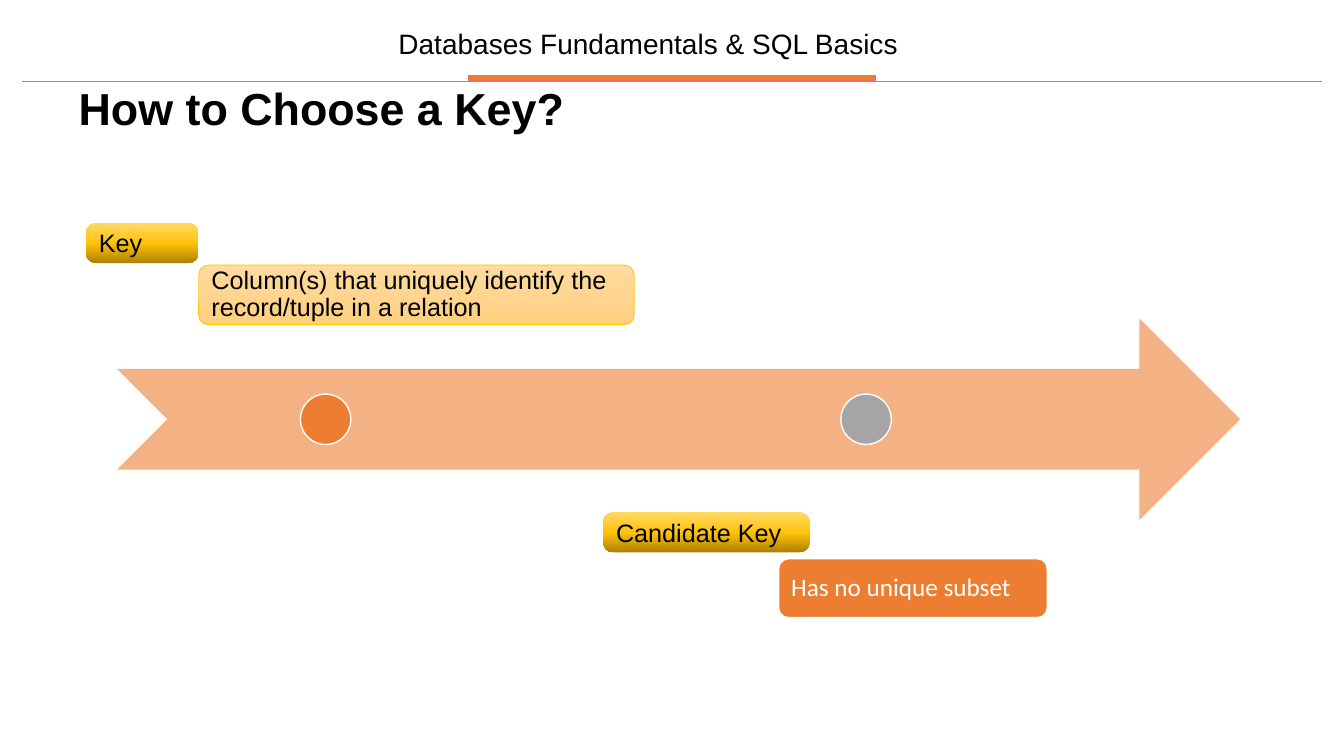
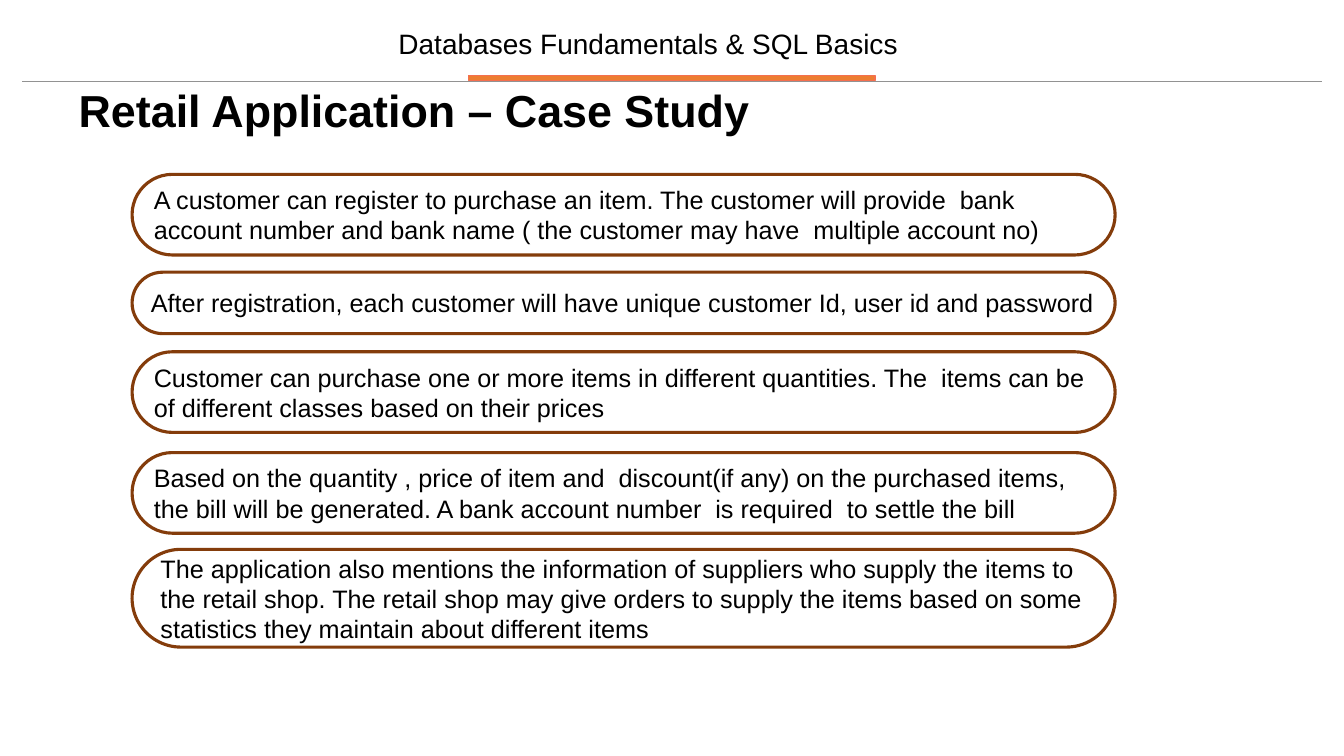
from lxml.etree import SubElement
from pptx import Presentation
from pptx.dml.color import RGBColor
from pptx.enum.shapes import MSO_CONNECTOR, MSO_SHAPE
from pptx.enum.text import MSO_ANCHOR, MSO_AUTO_SIZE, PP_ALIGN
from pptx.oxml.ns import qn
from pptx.util import Emu, Pt

# Colours
BLACK = RGBColor(0x00, 0x00, 0x00)
WHITE = RGBColor(0xFF, 0xFF, 0xFF)
RULE_GRAY = RGBColor(0x92, 0x92, 0x92)
DOT_GRAY = RGBColor(0xA5, 0xA5, 0xA5)
CORAL = RGBColor(0xF4, 0x6F, 0x4F)
ORANGE = RGBColor(0xED, 0x7D, 0x31)
PALE_ORANGE = RGBColor(0xF4, 0xB1, 0x83)
AMBER = RGBColor(0xFF, 0xC0, 0x00)
BROWN = RGBColor(0x84, 0x3C, 0x0B)

# Gradients from top to bottom: (percent, colour)
GOLD_STOPS = (
    (0, RGBColor(0xFF, 0xD9, 0x66)),
    (52, RGBColor(0xFF, 0xC2, 0x08)),
    (100, RGBColor(0xAB, 0x81, 0x00)),
)
PEACH_STOPS = (
    (0, RGBColor(0xFF, 0xDB, 0x9E)),
    (50, RGBColor(0xFF, 0xD5, 0x90)),
    (100, RGBColor(0xFF, 0xD0, 0x7C)),
)

EMU_PER_PX = 9144  # 100 px to the inch


def px(*lengths):
    return [Emu(length * EMU_PER_PX) for length in lengths]


class Lesson:
    """Holds the deck, its style and the current slide."""

    font = "Arial"
    body_size = 18

    def __init__(self):
        self.deck = Presentation()
        self.deck.slide_width, self.deck.slide_height = px(1333, 750)
        self.layout = self.deck.slide_layouts[5]
        self.page = None

    def start_page(self, title, top):
        first = self.page is None
        self.page = self.deck.slides.add_slide(self.layout)
        if first:
            self.header()
        box = self.page.shapes.title
        box.left, box.top, box.width, box.height = px(68, top, 1231, 78)
        self.set_text(box, title, size=32, bold=True, spacing=0.9,
                      anchor=MSO_ANCHOR.TOP)

    def header(self):
        """Draws the band, then moves it to the layout all slides share."""
        text_box = self.page.shapes.add_textbox(*px(375, 26, 536, 38))
        self.set_text(text_box, "Databases Fundamentals & SQL Basics", size=20,
                      align=PP_ALIGN.CENTER, spacing=0.9)
        band = (
            self.rule(22, 1311, 81),
            self.shape(MSO_SHAPE.RECTANGLE, (465, 75, 403, 5), ORANGE,
                       CORAL, 1),
            text_box,
        )
        for part in band:
            self.layout.shapes.element.append(part.element)

    def rule(self, left, right, top):
        line = self.page.shapes.add_connector(
            MSO_CONNECTOR.STRAIGHT, *px(left, top, right, top))
        line.line.color.rgb = RULE_GRAY
        line.line.width = Pt(0.75)
        SubElement(line.element.spPr, qn("a:effectLst"))
        return line

    def shape(self, kind, place, fill=None, line=None, width=1, corner=None):
        """Adds a shape; fill is a colour, a tuple of stops or None."""
        shape = self.page.shapes.add_shape(kind, *px(*place))
        shape.shadow.inherit = False
        if corner is not None:
            shape.adjustments[0] = corner
        if fill is None:
            shape.fill.background()
        elif isinstance(fill, RGBColor):
            shape.fill.solid()
            shape.fill.fore_color.rgb = fill
        else:
            self.gradient(shape, fill)
        if line is None:
            shape.line.fill.background()
        else:
            shape.line.color.rgb = line
            shape.line.width = Pt(width)
        return shape

    def gradient(self, shape, stops):
        shape.fill.gradient()
        shape.fill.gradient_angle = 270
        stop_list = shape.element.spPr.find(qn("a:gradFill")).find(qn("a:gsLst"))
        for old_stop in list(stop_list):
            stop_list.remove(old_stop)
        for percent, color in stops:
            stop = SubElement(stop_list, qn("a:gs"), pos=str(percent * 1000))
            SubElement(stop, qn("a:srgbClr"), val=str(color))

    def set_text(self, box, text, size=body_size, font=font, color=BLACK,
                 bold=False, align=PP_ALIGN.LEFT, spacing=1.0,
                 anchor=MSO_ANCHOR.MIDDLE, margins=(10, 10)):
        frame = box.text_frame
        frame.word_wrap = True
        frame.auto_size = MSO_AUTO_SIZE.NONE
        frame.vertical_anchor = anchor
        frame.margin_left, frame.margin_right = px(*margins)
        frame.margin_top, frame.margin_bottom = px(5, 5)
        para = frame.paragraphs[0]
        para.text = text
        para.alignment = align
        para.line_spacing = spacing
        para.font.name = font
        para.font.size = Pt(size)
        para.font.bold = bold
        para.font.color.rgb = color

    def dot(self, left, top, color):
        self.shape(MSO_SHAPE.OVAL, (left, top, 50, 50), color, WHITE, 1)

    def label(self, left, top, width, text):
        tag = self.shape(MSO_SHAPE.ROUNDED_RECTANGLE, (left, top, width, 40),
                         GOLD_STOPS, corner=0.27)
        self.set_text(tag, text)

    def note(self, left, top, width, text, fill, line, line_width, **style):
        card = self.shape(MSO_SHAPE.ROUNDED_RECTANGLE, (left, top, width, 59),
                          fill, line, line_width)
        self.set_text(card, text, spacing=0.9, **style)

    def pill(self, top, height, text, indent=0):
        pill = self.shape(MSO_SHAPE.ROUNDED_RECTANGLE,
                          (131, top, 975, height), None, BROWN, 2.25, 0.5)
        self.set_text(pill, text, margins=(10 + indent, 5))


def key_page(lesson):
    lesson.start_page("How to Choose a Key?", 81)

    # Timeline arrow with its two dots
    lesson.shape(MSO_SHAPE.NOTCHED_RIGHT_ARROW, (116, 316, 1114, 200),
                 PALE_ORANGE)
    lesson.dot(298, 391, ORANGE)
    lesson.dot(834, 391, DOT_GRAY)

    # Terms and their meanings
    lesson.note(197, 263, 432,
                "Column(s) that uniquely identify the record/tuple in a relation",
                PEACH_STOPS, AMBER, 0.5)
    lesson.note(772, 554, 267, "Has no unique subset", ORANGE, WHITE, 1.5,
                font="Calibri", color=WHITE)
    lesson.label(85, 221, 112, "Key")
    lesson.label(598, 508, 205, "Candidate Key")


def retail_page(lesson):
    lesson.start_page("Retail Application – Case Study", 83)

    # Requirements
    lesson.pill(173, 80, "A customer can register to purchase an item. The "
                "customer will provide  bank account number and bank name "
                "( the customer may have  multiple account no)")
    lesson.pill(270, 61, "After registration, each customer will have unique "
                "customer Id, user id and password")
    lesson.pill(349, 80, "Customer can purchase one or more items in different "
                "quantities. The  items can be of different classes based on "
                "their prices")
    lesson.pill(449, 80, "Based on the quantity , price of item and  "
                "discount(if any) on the purchased items, the bill will be "
                "generated. A bank account number  is required  to settle "
                "the bill")
    lesson.pill(545, 97, "The application also mentions the information of "
                "suppliers who supply the items to the retail shop. The retail "
                "shop may give orders to supply the items based on some "
                "statistics they maintain about different items", indent=4)


def main():
    lesson = Lesson()
    key_page(lesson)
    retail_page(lesson)
    lesson.deck.save("out.pptx")


if __name__ == "__main__":
    main()
